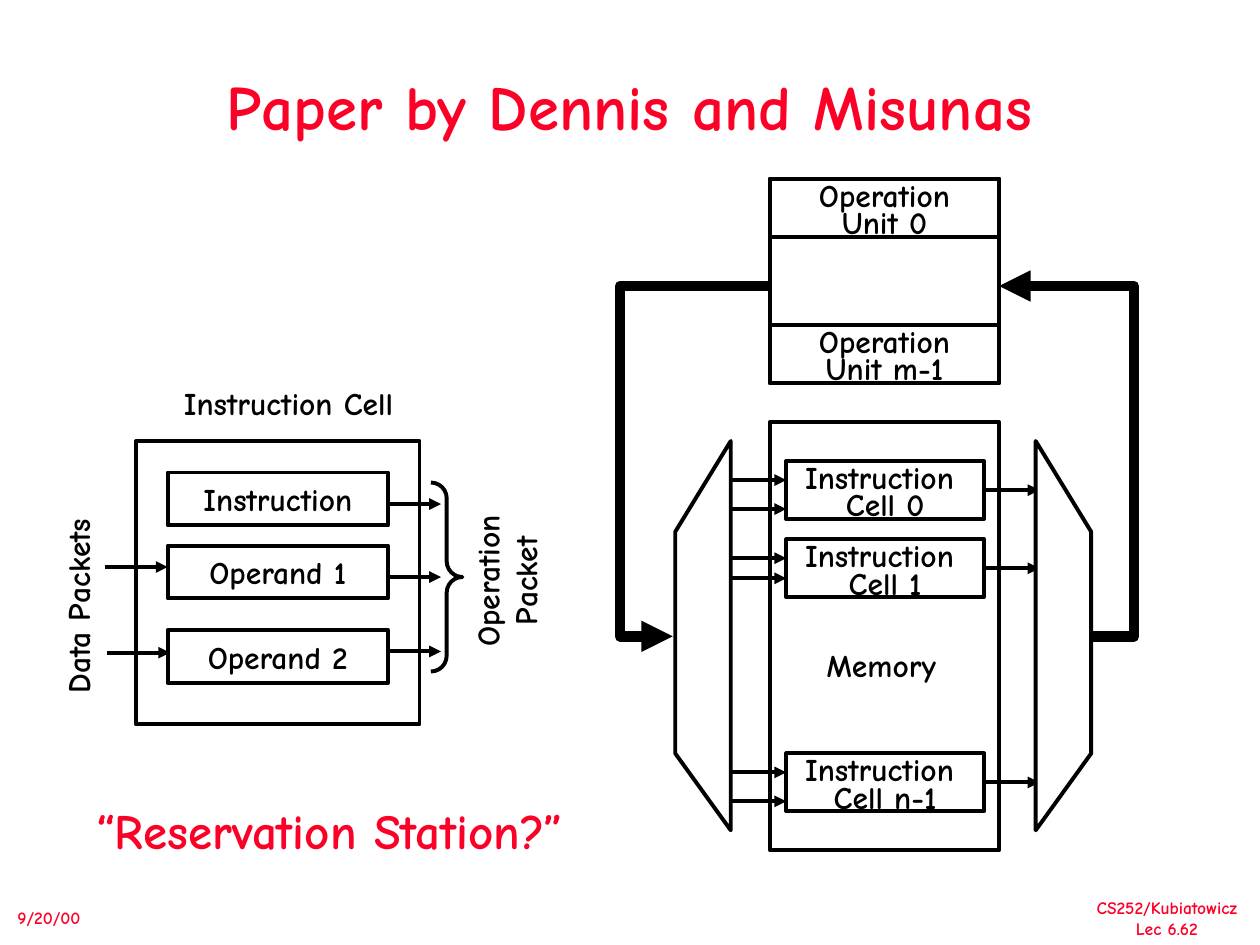
import dataclasses

import lxml.etree
import pptx
import pptx.dml.color
import pptx.enum.shapes
import pptx.enum.text
import pptx.oxml.ns
import pptx.util

Inches = pptx.util.Inches
Align = pptx.enum.text.PP_ALIGN
Preset = pptx.enum.shapes.MSO_SHAPE


@dataclasses.dataclass(frozen=True)
class Theme:
    font: str = "Comic Neue"
    red: str = "FC0128"
    black: str = "000000"
    white: str = "FFFFFF"
    title_size: int = 36
    callout_size: int = 28
    label_size: int = 18
    footer_size: int = 10
    outline: float = 2.25
    bus: float = 6


THEME = Theme()


def rgb(value):
    return pptx.dml.color.RGBColor.from_string(value)


def write_text(shape, text, size=THEME.label_size, color=THEME.black, align=Align.CENTER,
               wrap=False, spacing=()):
    frame = shape.text_frame
    frame.text = text
    frame.word_wrap = wrap
    frame.auto_size = pptx.enum.text.MSO_AUTO_SIZE.NONE
    frame.vertical_anchor = pptx.enum.text.MSO_ANCHOR.MIDDLE
    for paragraph in frame.paragraphs:
        paragraph.alignment = align
        for run in paragraph.runs:
            run.font.name = THEME.font
            run.font.size = pptx.util.Pt(size)
            run.font.bold = True
            run.font.color.rgb = rgb(color)
    for paragraph, value in zip(frame.paragraphs, spacing):
        paragraph.line_spacing = value


def style_line(shape, width=THEME.outline, arrow=False):
    shape.line.color.rgb = rgb(THEME.black)
    shape.line.width = pptx.util.Pt(width)
    if arrow:
        line = shape.line._get_or_add_ln()
        lxml.etree.SubElement(line, pptx.oxml.ns.qn("a:tailEnd"), type="triangle")


def style_outline(shape, fill=None, width=THEME.outline, arrow=False):
    shape.shadow.inherit = False
    if fill:
        shape.fill.solid()
        shape.fill.fore_color.rgb = rgb(fill)
    else:
        shape.fill.background()
    style_line(shape, width, arrow)


def add_box(slide, left, top, width, height, text="", preset=Preset.RECTANGLE):
    shape = slide.shapes.add_shape(
        preset, Inches(left), Inches(top), Inches(width), Inches(height))
    style_outline(shape)
    if text:
        write_text(shape, text, spacing=(1, 0.7))
    return shape


def add_label(slide, left, top, width, height, text, rotation=0, **text_style):
    shape = slide.shapes.add_textbox(
        Inches(left), Inches(top), Inches(width), Inches(height))
    shape.rotation = rotation
    write_text(shape, text, **text_style)


def add_arrow(slide, left, right, y):
    connector = slide.shapes.add_connector(
        pptx.enum.shapes.MSO_CONNECTOR.STRAIGHT,
        Inches(left), Inches(y), Inches(right), Inches(y))
    style_line(connector, arrow=True)
    lxml.etree.SubElement(connector._element.spPr, pptx.oxml.ns.qn("a:effectLst"))


def add_outline(slide, points, close=False, **outline_style):
    start, *rest = [(Inches(x), Inches(y)) for x, y in points]
    builder = slide.shapes.build_freeform(*start)
    builder.add_line_segments(rest, close=close)
    style_outline(builder.convert_to_shape(), **outline_style)


def add_network(slide, wide_x, narrow_x, fill=None):
    points = [(wide_x, 3.5), (wide_x, 6.59), (narrow_x, 5.98), (narrow_x, 4.22)]
    add_outline(slide, points, close=True, fill=fill)


def add_bus(slide, points):
    add_outline(slide, points, width=THEME.bus, arrow=True)


def add_title(slide):
    title = slide.shapes.title
    title.left, title.top = Inches(1.08), Inches(0.25)
    title.width, title.height = Inches(7.83), Inches(1.25)
    write_text(title, "Paper by Dennis and Misunas", THEME.title_size, THEME.red,
               wrap=True, spacing=(0.9,))


def add_footer(slide):
    style = {"size": THEME.footer_size, "color": THEME.red}
    add_label(slide, 8.6, 7.07, 1.32, 0.43, "CS252/Kubiatowicz\nLec 6.62", **style)
    add_label(slide, 0.04, 7.15, 0.7, 0.27, "9/20/00", align=Align.LEFT, **style)


def add_processor(slide):
    add_box(slide, 6.11, 3.35, 1.82, 3.4)
    add_label(slide, 6.46, 5.08, 1.07, 0.4, "Memory")
    add_network(slide, 5.8, 5.36)
    cells = [("0", 3.66, (3.81, 4.04)), ("1", 4.28, (4.43, 4.59)), ("n-1", 5.98, (6.13, 6.36))]
    for name, top, inputs in cells:
        add_box(slide, 6.24, top, 1.57, 0.46, f"Instruction \nCell {name}")
        for y in inputs:
            add_arrow(slide, 5.8, 6.24, y)
        add_arrow(slide, 7.81, 8.25, top + 0.23)
    add_network(slide, 8.22, 8.66, THEME.white)

    add_box(slide, 6.11, 1.42, 1.82, 1.62)
    for name, top in (("0", 1.42), ("m-1", 2.58)):
        add_box(slide, 6.11, top, 1.82, 0.46, f"Operation\nUnit {name}")
    add_bus(slide, [(8.66, 5.05), (9, 5.05), (9, 2.27), (7.93, 2.27)])
    add_bus(slide, [(6.11, 2.27), (4.92, 2.27), (4.92, 5.05), (5.34, 5.05)])


def add_instruction_cell(slide):
    add_box(slide, 1.08, 3.5, 2.25, 2.25)
    add_label(slide, 1.36, 3, 1.86, 0.4, "Instruction Cell")
    fields = [("Instruction", 3.75, 4), ("Operand 1", 4.33, 4.58), ("Operand 2", 5, 5.17)]
    for name, top, output_y in fields:
        add_box(slide, 1.33, top, 1.75, 0.42, name)
        add_arrow(slide, 3.08, 3.5, output_y)
    brace = add_box(slide, 3.42, 3.83, 0.25, 1.5, preset=Preset.RIGHT_BRACE)
    brace.adjustments[0] = 0.5
    add_label(slide, 3.39, 4.26, 1.25, 0.7, "Operation\nPacket", rotation=270)
    for left, y in ((0.83, 4.5), (0.85, 5.18)):
        add_arrow(slide, left, left + 0.5, y)
    add_label(slide, -0.18, 4.61, 1.59, 0.4, "Data Packets", rotation=270)


def main():
    presentation = pptx.Presentation()
    presentation.slide_width, presentation.slide_height = Inches(10), Inches(7.5)
    slide = presentation.slides.add_slide(presentation.slide_layouts.get_by_name("Title Only"))
    add_footer(slide)
    add_title(slide)
    add_processor(slide)
    add_instruction_cell(slide)
    add_label(slide, 0.67, 6.3, 3.91, 0.57, "“Reservation Station?”",
              size=THEME.callout_size, color=THEME.red, align=Align.LEFT)
    presentation.save("out.pptx")


if __name__ == "__main__":
    main()
